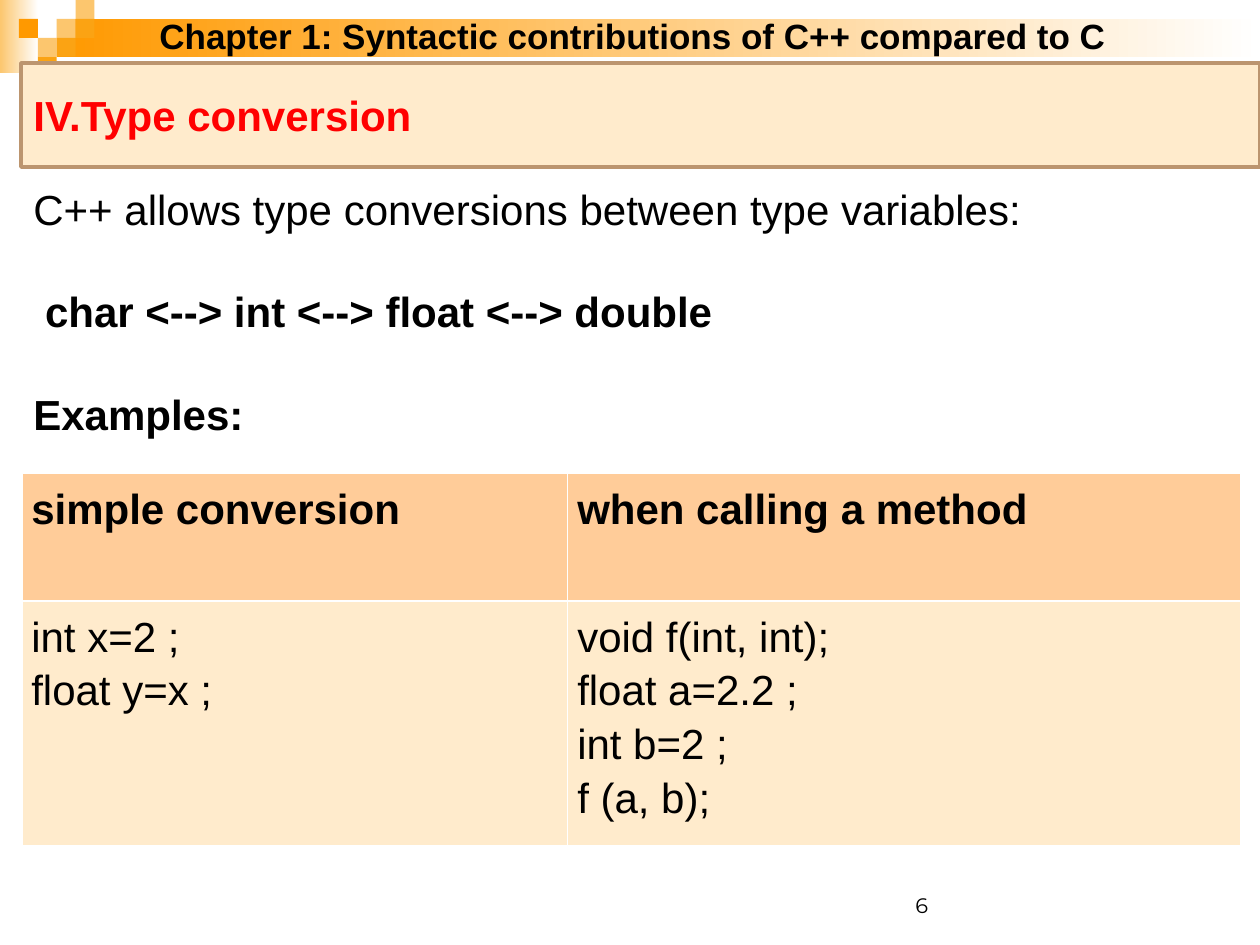
from dataclasses import dataclass

from lxml.etree import SubElement
from pptx import Presentation
from pptx.dml.color import RGBColor as RGB
from pptx.enum.shapes import MSO_SHAPE as SHAPE
from pptx.enum.text import MSO_ANCHOR as ANCHOR, PP_ALIGN as ALIGN
from pptx.oxml.ns import qn
from pptx.util import Pt


@dataclass(frozen=True)
class Theme:
    font: str = "Arial"
    number_font: str = "Montserrat"
    orange: str = "FF9900"
    amber: str = "FBA313"
    pale_amber: str = "FCC66E"
    peach: str = "FFCC99"
    cream: str = "FFEBCC"
    frame: str = "BC956F"
    red: str = "FF0000"
    black: str = "000000"
    white: str = "FFFFFF"
    body_size: int = 24
    title_size: int = 20
    number_size: int = 12


class SlideBuilder:
    def __init__(self, slide, theme):
        self.slide = slide
        self.theme = theme

    def style(self, paragraph, size, bold=False, color=None, font=None):
        paragraph.alignment = ALIGN.LEFT
        for run in paragraph.runs:
            run.font.size = Pt(size)
            run.font.bold = bold
            run.font.name = font or self.theme.font
            run.font.color.rgb = RGB.from_string(color or self.theme.black)

    def rectangle(self, left, top, width, height, color, fade=False):
        """Add a rectangle, solid or fading to white on the right."""
        rect = self.slide.shapes.add_shape(
            SHAPE.RECTANGLE, Pt(left), Pt(top), Pt(width), Pt(height))
        rect.shadow.inherit = False
        rect.line.fill.background()
        if fade:
            rect.fill.gradient()
            rect.fill.gradient_angle = 0
            for stop, tone in zip(rect.fill.gradient_stops, (color, self.theme.white)):
                stop.color.rgb = RGB.from_string(tone)
        else:
            rect.fill.solid()
            rect.fill.fore_color.rgb = RGB.from_string(color)
        return rect

    def banner(self, left, top, width, height, heading):
        box = self.rectangle(left, top, width, height, self.theme.cream)
        box.line.color.rgb = RGB.from_string(self.theme.frame)
        box.line.width = Pt(2)
        frame = box.text_frame
        frame.word_wrap = True
        frame.vertical_anchor = ANCHOR.MIDDLE
        frame.text = heading
        self.style(frame.paragraphs[0], self.theme.body_size, True, self.theme.red)

    def text(self, left, top, width, height, content, size, bold=False,
             font=None, anchor=ANCHOR.TOP):
        box = self.slide.shapes.add_textbox(Pt(left), Pt(top), Pt(width), Pt(height))
        frame = box.text_frame
        frame.word_wrap = True
        frame.vertical_anchor = anchor
        frame.text = content
        for paragraph in frame.paragraphs:
            self.style(paragraph, size, bold, font=font)
        return frame

    def borders(self, cell, widths):
        """Draw white cell borders; widths maps a side (L, R, T, B) to points."""
        properties = cell._tc.get_or_add_tcPr()
        for index, (side, width) in enumerate(widths.items()):
            line = SubElement(properties, qn(f"a:ln{side}"), w=str(Pt(width)))
            fill = SubElement(line, qn("a:solidFill"))
            SubElement(fill, qn("a:srgbClr"), val=self.theme.white)
            properties.insert(index, line)

    def table(self, left, top, widths, heights, rows):
        """Add a table with a bold header row above plain rows."""
        table = self.slide.shapes.add_table(
            len(rows), len(widths), Pt(left), Pt(top),
            Pt(sum(widths)), Pt(sum(heights))).table
        table.horz_banding = False
        for column, width in zip(table.columns, widths):
            column.width = Pt(width)
        for r, (row, height) in enumerate(zip(rows, heights)):
            table.rows[r].height = Pt(height)
            header = r == 0
            for c, content in enumerate(row):
                cell = table.cell(r, c)
                cell.margin_left = cell.margin_right = Pt(5.4)
                cell.fill.solid()
                cell.fill.fore_color.rgb = RGB.from_string(
                    self.theme.peach if header else self.theme.cream)
                self.borders(cell, {"L": 0.45, "R": 0.45,
                                    "T": 0.45 if header else 1.47,
                                    "B": 1.47 if header else 0.45})
                cell.text_frame.text = content
                for paragraph in cell.text_frame.paragraphs:
                    paragraph.line_spacing = 1.15
                    self.style(paragraph, self.theme.body_size, header)


def main():
    deck = Presentation()
    deck.slide_width, deck.slide_height = Pt(720), Pt(540)
    theme = Theme()
    page = SlideBuilder(deck.slides.add_slide(deck.slide_layouts[6]), theme)

    # Header band with its mosaic of squares
    tile = 10.8
    page.rectangle(0, 0, 22, 42, theme.pale_amber, fade=True)
    page.rectangle(3 * tile, tile, 720 - 3 * tile, 2 * tile, theme.orange, fade=True)
    mosaic = [(3, 1, theme.pale_amber), (4, 0, theme.pale_amber),
              (4, 1, theme.amber), (2, 2, theme.pale_amber),
              (1, 1, theme.orange), (3, 2, theme.amber), (2, 3, theme.amber)]
    for column, row, color in mosaic:
        page.rectangle(column * tile, row * tile, tile, tile, color)

    page.text(516, 492, 168, 36, "6", theme.number_size,
              font=theme.number_font, anchor=ANCHOR.BOTTOM)
    page.banner(12, 36, 708, 59.5, "IV.Type conversion")
    page.text(84, 4.5, 565, 31.5,
              "Chapter 1: Syntactic contributions of C++ compared to C",
              theme.title_size, bold=True)

    body = page.text(12, 98.5, 697, 176.5,
                     "C++ allows type conversions between type variables:\n"
                     "char <--> int <--> float <--> double\n"
                     "Examples:", theme.body_size)
    body.margin_top = Pt(6.5)
    conversions, examples = body.paragraphs[1:]
    conversions._p.get_or_add_pPr().set("marL", str(Pt(6.67)))
    for paragraph in (conversions, examples):
        paragraph.space_before = Pt(29.6)
        paragraph.runs[0].font.bold = True

    page.table(12.5, 270.3, [312, 384.5], [73, 139.5], [
        ["simple conversion", "when calling a method"],
        ["int x=2 ;\nfloat y=x ;",
         "void f(int, int);\nfloat a=2.2 ;\nint b=2 ;\nf (a, b);"],
    ])

    deck.save("out.pptx")


if __name__ == "__main__":
    main()
